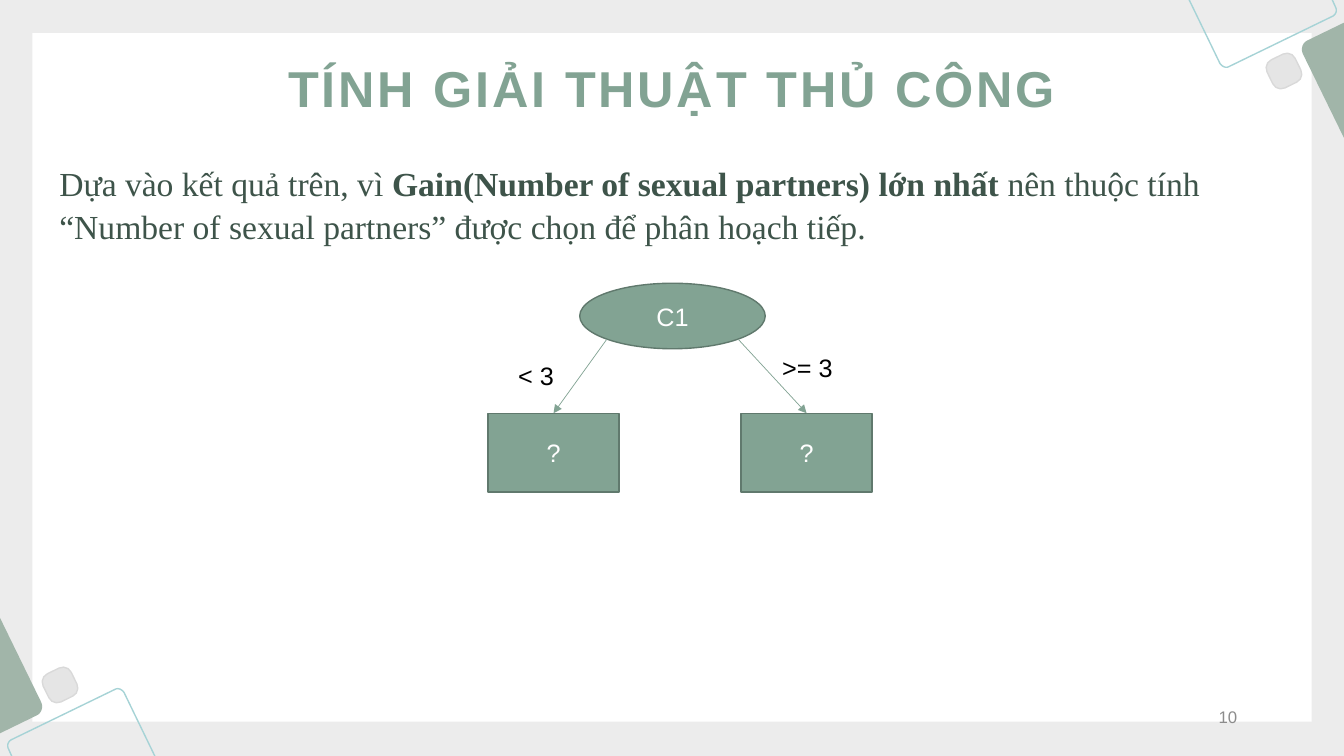
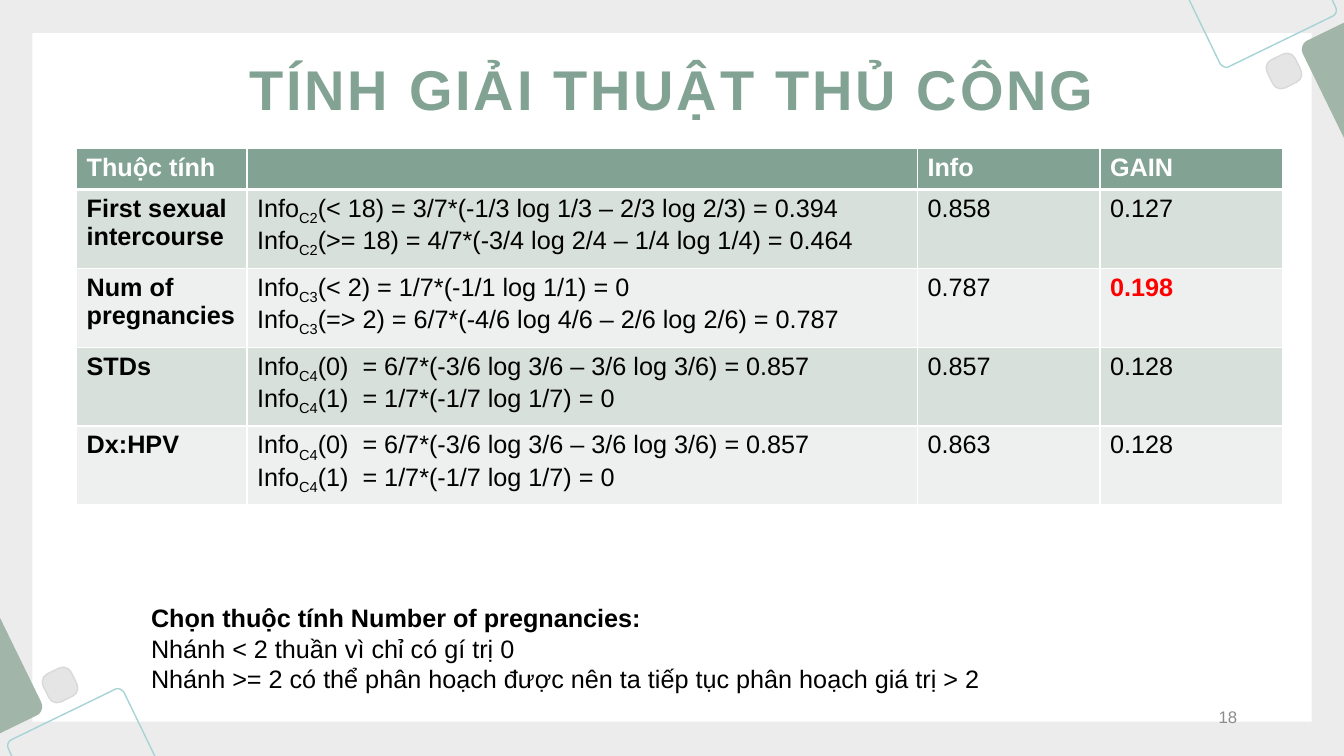
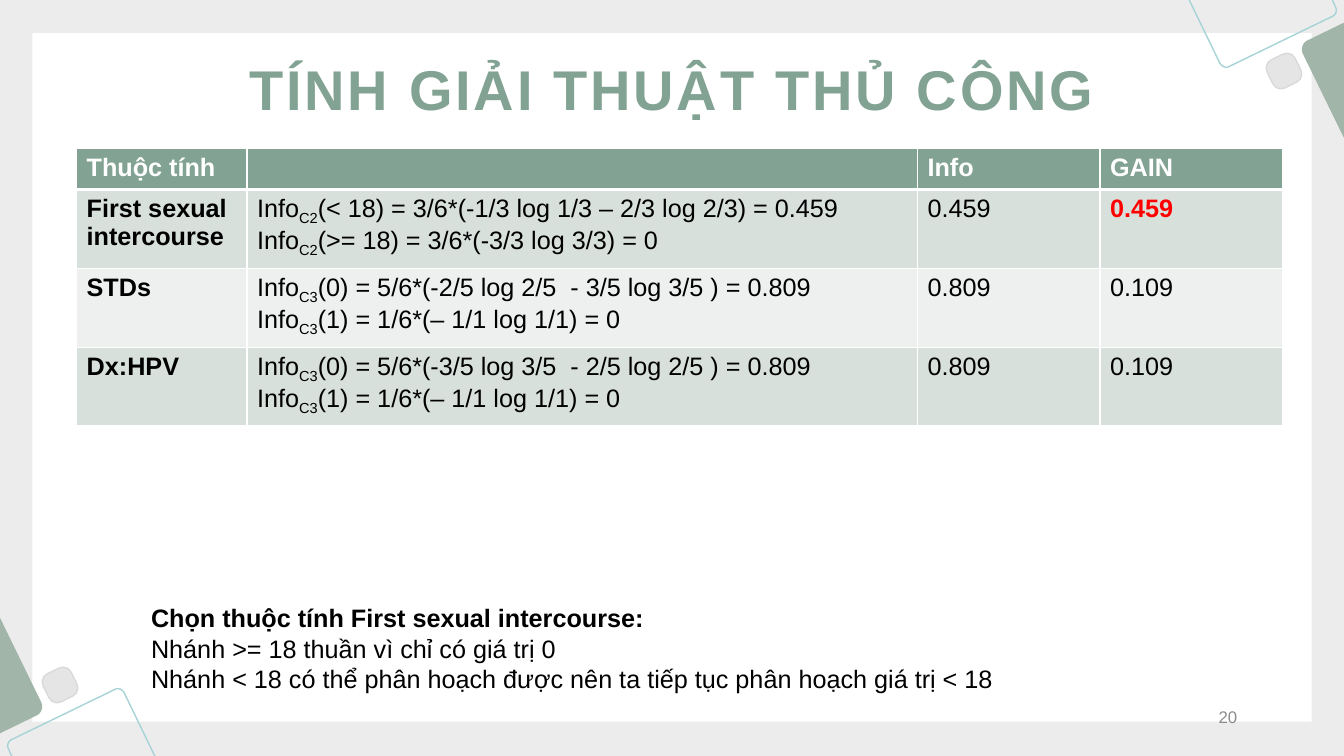
from dataclasses import dataclass
from math import sqrt

from lxml.etree import SubElement
from pptx import Presentation
from pptx.dml.color import RGBColor
from pptx.enum.shapes import MSO_CONNECTOR, MSO_SHAPE
from pptx.enum.text import MSO_ANCHOR, MSO_AUTO_SIZE, PP_ALIGN
from pptx.oxml import parse_xml
from pptx.oxml.ns import nsdecls, qn
from pptx.util import Inches, Pt

WIDTH, HEIGHT = 13.33, 7.5


@dataclass(frozen=True)
class Theme:
    sans: str = "Arial"
    serif: str = "Times New Roman"
    backdrop: str = "ECECEC"
    white: str = "FFFFFF"
    black: str = "000000"
    green: str = "82A393"
    dark_green: str = "60796D"
    pale_green: str = "A1B5A9"
    ink: str = "3E544A"
    aqua: str = "A6D3D6"
    tile: str = "E5E5E5"
    tile_edge: str = "D9D9D9"
    number: str = "8C8C8C"
    alert: str = "FF0000"
    bands: tuple = ("D8E0DC", "EDF0EE")
    small: int = 12
    normal: int = 18
    lead: int = 24


THEME = Theme()

TITLE = "TÍNH GIẢI THUẬT THỦ CÔNG"
HEADER = ("Thuộc tính", "", "Info", "GAIN")
COLUMNS = (1.69, 6.65, 1.81, 1.81)
HEADER_HEIGHT, ROW_HEIGHT = 0.41, 0.74

TREE_SLIDE = {
    "number": 10,
    "title_size": 36,
    "lead": (
        ("Dựa vào kết quả trên, vì ", False),
        ("Gain(Number of sexual partners) lớn nhất ", True),
        ("nên thuộc tính “Number of sexual partners” được chọn để phân hoạch tiếp.", False),
    ),
    "root": ("C1", (5.75, 2.81, 1.84, 0.65)),
    # text, box, branch label, label box, side of the root
    "branches": (
        ("?", (4.84, 4.1, 1.3, 0.78), "< 3", (5.04, 3.53, 0.56, 0.4), -1),
        ("?", (7.35, 4.1, 1.3, 0.78), ">= 3", (7.66, 3.45, 0.71, 0.4), 1),
    ),
}

# Rows: attribute, ((subscript, formula), ...), info, gain
TABLE_SLIDES = (
    {
        "number": 18,
        "title_size": 40,
        "best": "0.198",
        "rows": (
            ("First sexual intercourse",
             (("C2", "(< 18) = 3/7*(-1/3 log 1/3 – 2/3 log 2/3) = 0.394"),
              ("C2", "(>= 18) = 4/7*(-3/4 log 2/4 – 1/4 log 1/4) = 0.464")), "0.858", "0.127"),
            ("Num of pregnancies",
             (("C3", "(< 2) = 1/7*(-1/1 log 1/1) = 0"),
              ("C3", "(=> 2) = 6/7*(-4/6 log 4/6 – 2/6 log 2/6) = 0.787")), "0.787", "0.198"),
            ("STDs",
             (("C4", "(0)  = 6/7*(-3/6 log 3/6 – 3/6 log 3/6) = 0.857"),
              ("C4", "(1)  = 1/7*(-1/7 log 1/7) = 0")), "0.857", "0.128"),
            ("Dx:HPV",
             (("C4", "(0)  = 6/7*(-3/6 log 3/6 – 3/6 log 3/6) = 0.857"),
              ("C4", "(1)  = 1/7*(-1/7 log 1/7) = 0")), "0.863", "0.128"),
        ),
        "note": ("Chọn thuộc tính Number of pregnancies:",
                 "Nhánh < 2 thuần vì chỉ có gí trị 0",
                 "Nhánh >= 2 có thể phân hoạch được nên ta tiếp tục phân hoạch giá trị > 2"),
    },
    {
        "number": 20,
        "title_size": 40,
        "best": "0.459",
        "rows": (
            ("First sexual intercourse",
             (("C2", "(< 18) = 3/6*(-1/3 log 1/3 – 2/3 log 2/3) = 0.459"),
              ("C2", "(>= 18) = 3/6*(-3/3 log 3/3) = 0")), "0.459", "0.459"),
            ("STDs",
             (("C3", "(0) = 5/6*(-2/5 log 2/5  - 3/5 log 3/5 ) = 0.809"),
              ("C3", "(1) = 1/6*(– 1/1 log 1/1) = 0")), "0.809", "0.109"),
            ("Dx:HPV",
             (("C3", "(0) = 5/6*(-3/5 log 3/5  - 2/5 log 2/5 ) = 0.809"),
              ("C3", "(1) = 1/6*(– 1/1 log 1/1) = 0")), "0.809", "0.109"),
        ),
        "note": ("Chọn thuộc tính First sexual intercourse:",
                 "Nhánh >= 18 thuần vì chỉ có giá trị 0",
                 "Nhánh < 18 có thể phân hoạch được nên ta tiếp tục phân hoạch giá trị < 18"),
    },
)

# Top-right corner; pairs are points, sextets are Bézier curves.
CORNER_OUTLINES = (
    (((11.79, -0.01), (13.21, -0.01), (13.25, 0.08), (13.26, 0.11, 13.25, 0.14, 13.22, 0.16),
      (12.19, 0.66), (12.16, 0.68, 12.12, 0.66, 12.1, 0.63)), None, THEME.aqua),
    (((13.34, 0.22), (13.34, 1.39), (12.92, 0.53), (12.9, 0.48, 12.92, 0.42, 12.97, 0.4)),
     THEME.pale_green, None),
)
CORNER_TILE = (12.58, 0.55, 0.31, 0.31)


def color(value):
    return RGBColor.from_string(value)


def inches(values):
    return [Inches(value) for value in values]


def add_run(paragraph, text, ink=THEME.black, **values):
    run = paragraph.add_run()
    run.text = text
    for name, value in {"name": THEME.sans, "size": Pt(THEME.normal), "bold": False, **values}.items():
        setattr(run.font, name, value)
    run.font.color.rgb = color(ink)
    return run


def paint(shape, fill, line):
    shape.shadow.inherit = False
    if fill:
        shape.fill.solid()
        shape.fill.fore_color.rgb = color(fill)
    else:
        shape.fill.background()
    if line:
        shape.line.color.rgb = color(line)
        shape.line.width = Pt(1)
    else:
        shape.line.fill.background()
    return shape


def add_text_box(slide, box, wrap=True, anchor=MSO_ANCHOR.TOP):
    frame = slide.shapes.add_textbox(*inches(box)).text_frame
    frame.word_wrap = wrap
    frame.vertical_anchor = anchor
    return frame


def add_node(slide, kind, text, box):
    node = paint(slide.shapes.add_shape(kind, *inches(box)), THEME.green, THEME.dark_green)
    node.text_frame.vertical_anchor = MSO_ANCHOR.MIDDLE
    paragraph = node.text_frame.paragraphs[0]
    paragraph.alignment = PP_ALIGN.CENTER
    add_run(paragraph, text, THEME.white)
    return node


def flatten(outline, steps=6):
    """Turn an outline with Bézier curves into plain points."""
    points = []
    for part in outline:
        if len(part) == 2:
            points.append(part)
            continue
        controls = (points[-1], part[:2], part[2:4], part[4:])
        for step in range(1, steps + 1):
            t = step / steps
            weights = ((1 - t) ** 3, 3 * t * (1 - t) ** 2, 3 * t * t * (1 - t), t ** 3)
            points.append(tuple(sum(w * c[axis] for w, c in zip(weights, controls))
                                for axis in (0, 1)))
    return points


def draw_corner(slide, turned):
    """Draw the corner ornament, or the same turned half round the slide's centre."""
    for outline, fill, line in CORNER_OUTLINES:
        points = [(WIDTH - x, HEIGHT - y) if turned else (x, y) for x, y in flatten(outline)]
        start, *rest = [inches(point) for point in points]
        builder = slide.shapes.build_freeform(*start)
        builder.add_line_segments(rest, close=True)
        paint(builder.convert_to_shape(), fill, line)
    left, top, width, height = CORNER_TILE
    if turned:
        left, top = WIDTH - left - width, HEIGHT - top - height
    tile = slide.shapes.add_shape(MSO_SHAPE.ROUNDED_RECTANGLE, *inches((left, top, width, height)))
    tile.adjustments[0] = 0.29
    tile.rotation = 154 if turned else 334
    paint(tile, THEME.tile, THEME.tile_edge)


def dress_layout(layout, slide):
    """Give the layout its background, panel, corners and title place; shapes are drawn on slide first."""
    layout.background.fill.solid()
    layout.background.fill.fore_color.rgb = color(THEME.backdrop)
    title = layout.placeholders[0]
    title.left, title.top, title.width, title.height = inches((1.4, 0.29, 10.53, 1.16))
    count = len(slide.shapes)
    panel = slide.shapes.add_shape(MSO_SHAPE.RECTANGLE, *inches((0.32, 0.33, 12.69, 6.83)))
    paint(panel, THEME.white, None)
    for turned in (False, True):
        draw_corner(slide, turned)
    for index, shape in enumerate(list(slide.shapes)[count:]):
        shape.element.nvSpPr.cNvPr.set("id", str(100 + index))
        layout.shapes.element.insert(2 + index, shape.element)


def fill_title_and_number(slide, content):
    frame = slide.shapes.title.text_frame
    frame.auto_size = MSO_AUTO_SIZE.NONE
    frame.vertical_anchor = MSO_ANCHOR.MIDDLE
    paragraph = frame.paragraphs[0]
    paragraph.alignment = PP_ALIGN.CENTER
    run = add_run(paragraph, TITLE, THEME.green, size=Pt(content["title_size"]), bold=True)
    run._r.get_or_add_rPr().set("spc", "200")
    number = add_text_box(slide, (9.42, 6.94, 2.95, 0.35), anchor=MSO_ANCHOR.MIDDLE).paragraphs[0]
    number.alignment = PP_ALIGN.RIGHT
    add_run(number, str(content["number"]), THEME.number, size=Pt(THEME.small))


def add_arrow(slide, start, target):
    arrow = slide.shapes.add_connector(MSO_CONNECTOR.STRAIGHT, *inches(start), *inches(start))
    arrow.end_connect(target, 0)
    arrow.line.color.rgb = color(THEME.green)
    arrow.line.width = Pt(0.5)
    SubElement(arrow.line._get_or_add_ln(), qn("a:tailEnd"), type="triangle")
    SubElement(arrow.element.spPr, qn("a:effectLst"))


def build_tree(slide, content):
    lead = add_text_box(slide, (0.49, 1.51, 12.16, 1.01), anchor=MSO_ANCHOR.MIDDLE).paragraphs[0]
    lead.line_spacing = 1.07
    for text, bold in content["lead"]:
        add_run(lead, text, THEME.ink, name=THEME.serif, size=Pt(THEME.lead), bold=bold)
    text, root = content["root"]
    add_node(slide, MSO_SHAPE.OVAL, text, root)
    left, top, width, height = root
    reach = sqrt(0.5) / 2
    for text, box, label, label_box, side in content["branches"]:
        node = add_node(slide, MSO_SHAPE.RECTANGLE, text, box)
        add_run(add_text_box(slide, label_box, wrap=False).paragraphs[0], label)
        start = (left + width * (0.5 + side * reach), top + height * (0.5 + reach))
        add_arrow(slide, start, node)


def style_cell(cell, fill, top, bottom):
    """Fill a cell and give it white borders; top and bottom are line widths."""
    cell.fill.solid()
    cell.fill.fore_color.rgb = color(fill)
    borders = {"lnL": 1, "lnR": 1, "lnT": top, "lnB": bottom}
    for index, (tag, width) in enumerate(borders.items()):
        cell._tc.get_or_add_tcPr().insert(index, parse_xml(
            f'<a:{tag} {nsdecls("a")} w="{Pt(width)}"><a:solidFill>'
            f'<a:srgbClr val="{THEME.white}"/></a:solidFill></a:{tag}>'))


def write_formulas(frame, formulas):
    for index, (subscript, formula) in enumerate(formulas):
        paragraph = frame.add_paragraph() if index else frame.paragraphs[0]
        add_run(paragraph, "Info")
        add_run(paragraph, subscript)._r.get_or_add_rPr().set("baseline", "-25000")
        add_run(paragraph, formula)


def build_table(slide, content):
    rows = (HEADER, *content["rows"])
    height = HEADER_HEIGHT + ROW_HEIGHT * len(content["rows"])
    box = inches((0.76, 1.47, sum(COLUMNS), height))
    table = slide.shapes.add_table(len(rows), len(COLUMNS), *box).table
    for column, width in zip(table.columns, COLUMNS):
        column.width = Inches(width)
    for r, row in enumerate(rows):
        table.rows[r].height = Inches(ROW_HEIGHT if r else HEADER_HEIGHT)
        for c, value in enumerate(row):
            cell = table.cell(r, c)
            fill = THEME.bands[(r - 1) % 2] if r else THEME.green
            style_cell(cell, fill, top=3 if r == 1 else 1, bottom=1 if r else 3)
            if r and c == 1:
                write_formulas(cell.text_frame, value)
            elif value:
                best = r > 0 and c == 3 and value == content["best"]
                ink = THEME.alert if best else THEME.black if r else THEME.white
                add_run(cell.text_frame.paragraphs[0], value, ink, bold=best or r == 0 or c == 0)
    note = add_text_box(slide, (1.4, 5.93, 8.63, 1.01))
    for index, line in enumerate(content["note"]):
        paragraph = note.add_paragraph() if index else note.paragraphs[0]
        add_run(paragraph, line, bold=index == 0)


def main():
    presentation = Presentation()
    presentation.slide_width, presentation.slide_height = inches((WIDTH, HEIGHT))
    layout = presentation.slide_layouts.get_by_name("Title Only")
    pages = [(build_tree, TREE_SLIDE)] + [(build_table, content) for content in TABLE_SLIDES]
    for index, (build, content) in enumerate(pages):
        slide = presentation.slides.add_slide(layout)
        if index == 0:
            dress_layout(layout, slide)
        fill_title_and_number(slide, content)
        build(slide, content)
    presentation.save("out.pptx")


if __name__ == "__main__":
    main()
